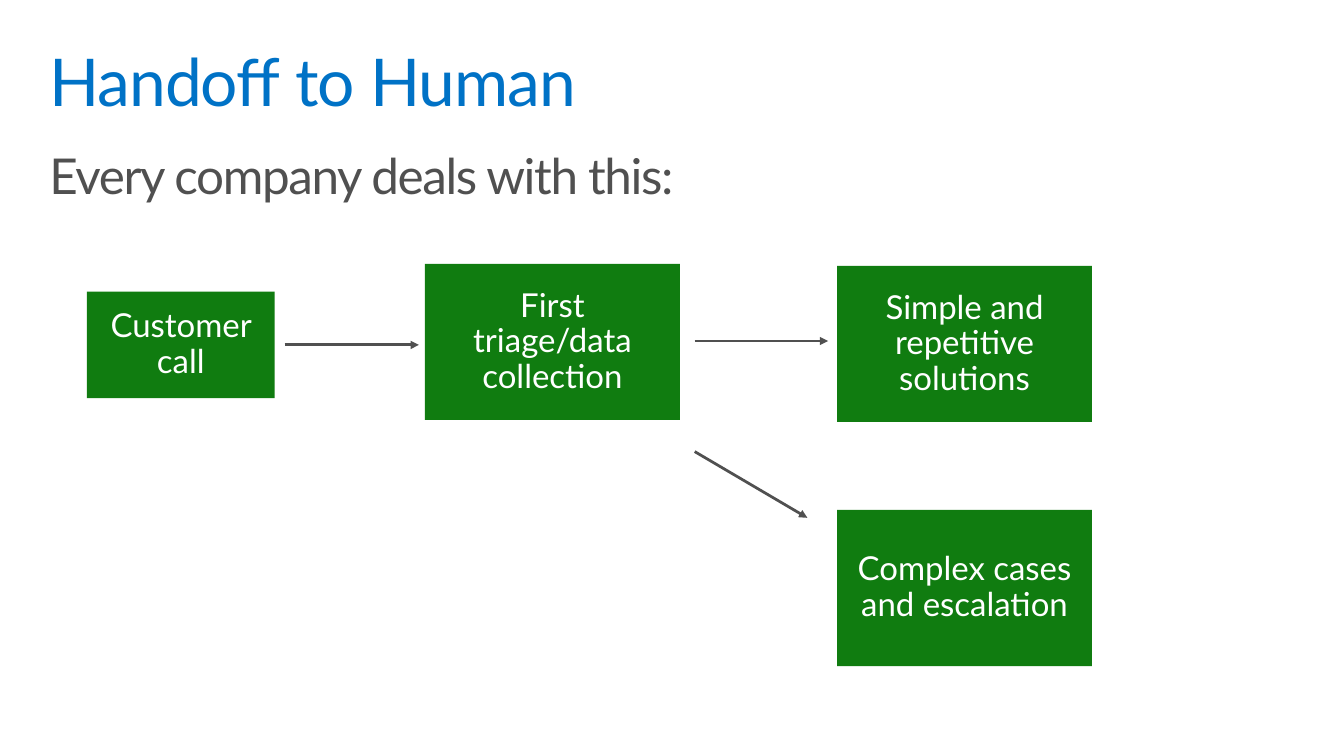
import pptx
import pptx.dml.color
import pptx.enum.shapes
import pptx.enum.text
import pptx.util
import lxml.etree

prs = pptx.Presentation()
prs.slide_width = pptx.util.Inches(13.6)
prs.slide_height = pptx.util.Inches(7.65)
s = prs.slides.add_slide(prs.slide_layouts[6])
unit = prs.slide_width / 136


def rgb(value):
    return pptx.dml.color.RGBColor.from_string(value)


def write(sp, text, size, color, margins, spacing=0):
    tf = sp.text_frame
    tf.word_wrap = True
    tf.margin_left = tf.margin_right = int(margins[0] * unit)
    tf.margin_top = tf.margin_bottom = int(margins[1] * unit)
    p = tf.paragraphs[0]
    p.line_spacing = 0.9
    r = p.add_run()
    r.text = text
    r.font.name = "Lato"
    r.font.size = pptx.util.Pt(size)
    r.font.color.rgb = rgb(color)
    if spacing:
        r.font._element.set("spc", str(spacing))
    return tf, p


headings = [
    ("Handoff to Human", (4, 4, 128, 10), 48, "0072C6", (1, 1), -70),
    ("Every company deals with this:", (3.4, 14.4, 72.1, 28.3), 36, "505050", (1.6, 1), -100),
]
for text, grid, size, color, margins, spacing in headings:
    sp = s.shapes.add_textbox(*[int(n * unit) for n in grid])
    write(sp, text, size, color, margins, spacing)

step_size = (25.8, 15.8)
outcome_col = 84.7
steps = [
    ("Customer call", (8.8, 29.5), (19, 10.8)),
    ("First triage/data collection", (43, 26.7), step_size),
    ("Simple and repetitive solutions", (outcome_col, 26.9), step_size),
    ("Complex cases and escalation", (outcome_col, 51.6), step_size),
]
for text, corner, size in steps:
    sp = s.shapes.add_shape(
        pptx.enum.shapes.MSO_SHAPE.RECTANGLE, *[int(n * unit) for n in corner + size]
    )
    sp.shadow.inherit = False
    sp.fill.solid()
    sp.fill.fore_color.rgb = rgb("107C10")
    sp.line.fill.background()
    tf, p = write(sp, text, 24, "FFFFFF", (2, 1.6))
    tf.vertical_anchor = pptx.enum.text.MSO_ANCHOR.MIDDLE
    p.alignment = pptx.enum.text.PP_ALIGN.CENTER

arrows = [
    (28.8, 34.9, 42.4, 34.9),
    (70.3, 34.5, 83.8, 34.5),
    (70.3, 45.7, 81.7, 52.4),
]
ns = "{http://schemas.openxmlformats.org/drawingml/2006/main}"
for ends in arrows:
    cn = s.shapes.add_connector(
        pptx.enum.shapes.MSO_CONNECTOR.STRAIGHT, *[int(n * unit) for n in ends]
    )
    cn.line.color.rgb = rgb("505050")
    cn.line.width = pptx.util.Pt(2)
    lxml.etree.SubElement(cn.line._get_or_add_ln(), ns + "tailEnd", type="triangle")
    lxml.etree.SubElement(cn._element.spPr, ns + "effectLst")

prs.save("out.pptx")
